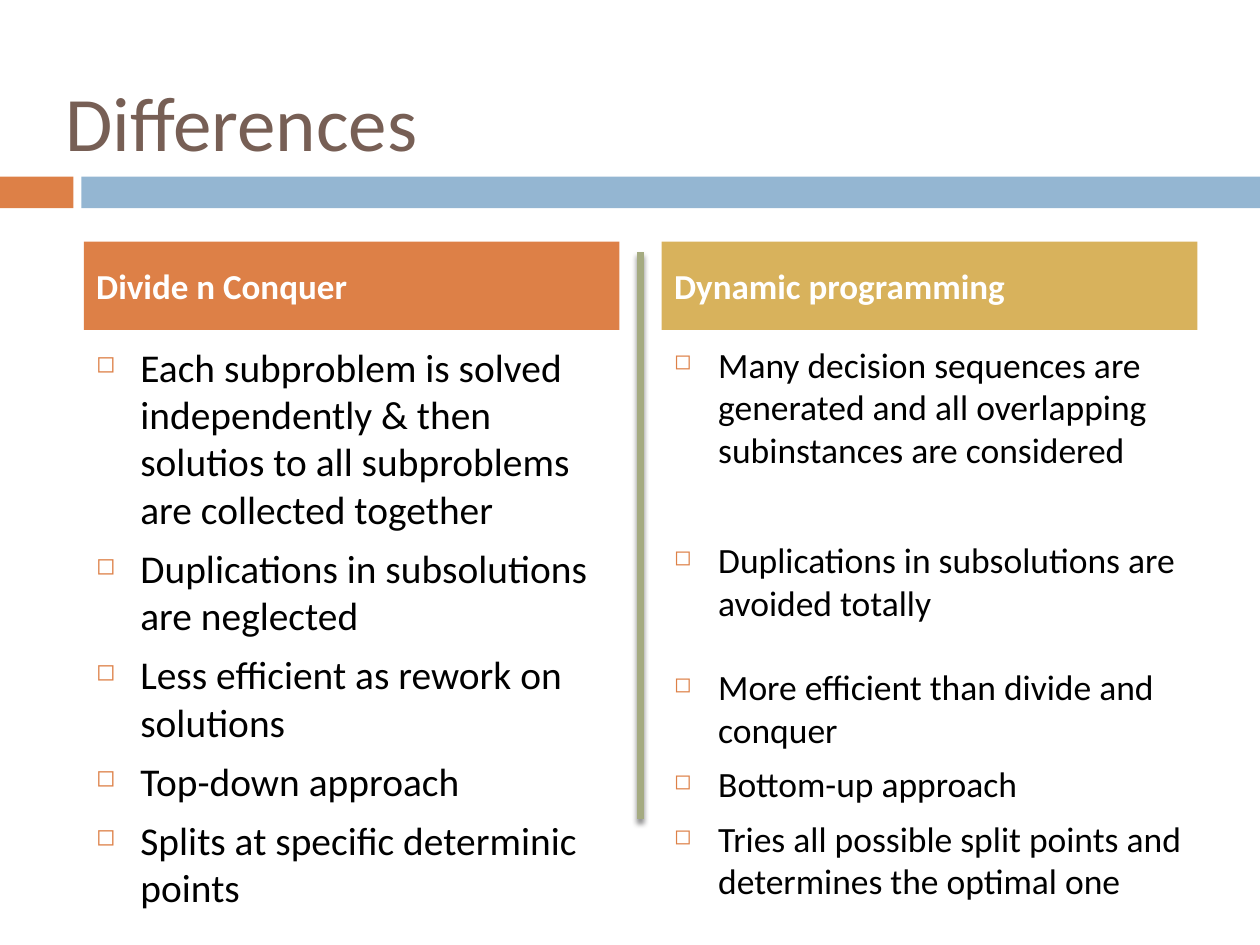
from lxml import etree
from pptx import Presentation
from pptx.dml.color import RGBColor
from pptx.enum.shapes import MSO_CONNECTOR, MSO_SHAPE
from pptx.enum.text import MSO_ANCHOR as Anchor, PP_ALIGN as Align
from pptx.oxml import parse_xml
from pptx.oxml.ns import nsdecls, qn
from pptx.util import Cm, Pt

ORANGE, BLUE, GOLD = "DD8047", "94B6D2", "D8B25C"
GREEN, BROWN, BLACK, WHITE = "A5AB81", "775F55", "000000", "FFFFFF"


def add_text(box, text, size, color, bold=False, anchor=Anchor.MIDDLE,
             bullet=False, before=0, leading=None):
    """Fill the first paragraph of the box, or append one after existing text."""
    frame = box.text_frame
    frame.word_wrap = True
    frame.vertical_anchor = anchor
    para = frame.add_paragraph() if frame.text else frame.paragraphs[0]
    para.alignment = Align.LEFT
    para.space_before = Pt(before)
    if leading:
        para.line_spacing = Pt(leading)
    if bullet:
        properties = para._p.get_or_add_pPr()
        properties.set("marL", str(Cm(0.89)))
        properties.set("indent", str(-Cm(0.89)))
        bullet_color = etree.SubElement(properties, qn("a:buClr"))
        etree.SubElement(bullet_color, qn("a:srgbClr")).set("val", ORANGE)
        etree.SubElement(properties, qn("a:buSzPct")).set("val", "60000")
        etree.SubElement(properties, qn("a:buChar")).set("char", "◻")
    span = para.add_run()
    span.text = text
    span.font.name = "Calibri"
    span.font.size = Pt(size)
    span.font.bold = bold
    span.font.color.rgb = RGBColor.from_string(color)


def add_block(left, top, width, height, color):
    block = page.shapes.add_shape(MSO_SHAPE.RECTANGLE, Cm(left), Cm(top), Cm(width), Cm(height))
    block.shadow.inherit = False
    block.fill.solid()
    block.fill.fore_color.rgb = RGBColor.from_string(color)
    block.line.fill.background()
    return block


deck = Presentation()
deck.slide_width, deck.slide_height = Cm(25.4), Cm(19.05)
page = deck.slides.add_slide(deck.slide_layouts[6])

# Title and the band below it
add_block(0, 3.56, 1.48, 0.64, ORANGE)
add_block(1.64, 3.56, 23.76, 0.64, BLUE)
title = page.shapes.add_textbox(Cm(1.07), Cm(0.84), Cm(22.86), Cm(3.18))
add_text(title, "Differences", 44, BROWN)

# Two columns: heading, fill, left edge, text size, line pitch, (space before, point)
columns = [
    ("Divide n Conquer", ORANGE, 1.69, 22.5, 27.1, [
        (0, "Each subproblem is solved independently & then solutios to all "
            "subproblems are collected together"),
        (6.6, "Duplications in subsolutions are neglected"),
        (6.6, "Less efficient as rework on solutions"),
        (6.6, "Top-down approach"),
        (6.6, "Splits at specific determinic points"),
    ]),
    ("Dynamic programming", GOLD, 13.34, 20.3, 24.4, [
        (0, "Many decision sequences are generated and all overlapping "
            "subinstances are considered"),
        (38.5, "Duplications in subsolutions are avoided totally"),
        (23.6, "More efficient than divide and conquer"),
        (6.8, "Bottom-up approach"),
        (6.8, "Tries all possible split points and determines the optimal one"),
    ]),
]
for heading, color, left, size, leading, points in columns:
    header = add_block(left, 4.87, 10.8, 1.78, color)
    add_text(header, heading, 20, WHITE, bold=True)
    body = page.shapes.add_textbox(Cm(left), Cm(6.78), Cm(10.8), Cm(9.96))
    for before, point in points:
        add_text(body, point, size, BLACK, anchor=Anchor.TOP, bullet=True,
                 before=before, leading=leading)

# Divider with a soft shadow
divider = page.shapes.add_connector(MSO_CONNECTOR.STRAIGHT, Cm(12.91), Cm(5.08), Cm(12.91), Cm(16.51))
divider.line.color.rgb = RGBColor.from_string(GREEN)
divider.line.width = Pt(3.75)
divider._element.spPr.append(parse_xml(
    f'<a:effectLst {nsdecls("a")}>'
    f'<a:outerShdw blurRad="{Pt(3)}" dist="{Pt(2.4)}" dir="5400000" rotWithShape="0">'
    f'<a:srgbClr val="{BLACK}"><a:alpha val="45000"/></a:srgbClr>'
    '</a:outerShdw></a:effectLst>'))

deck.save("out.pptx")
